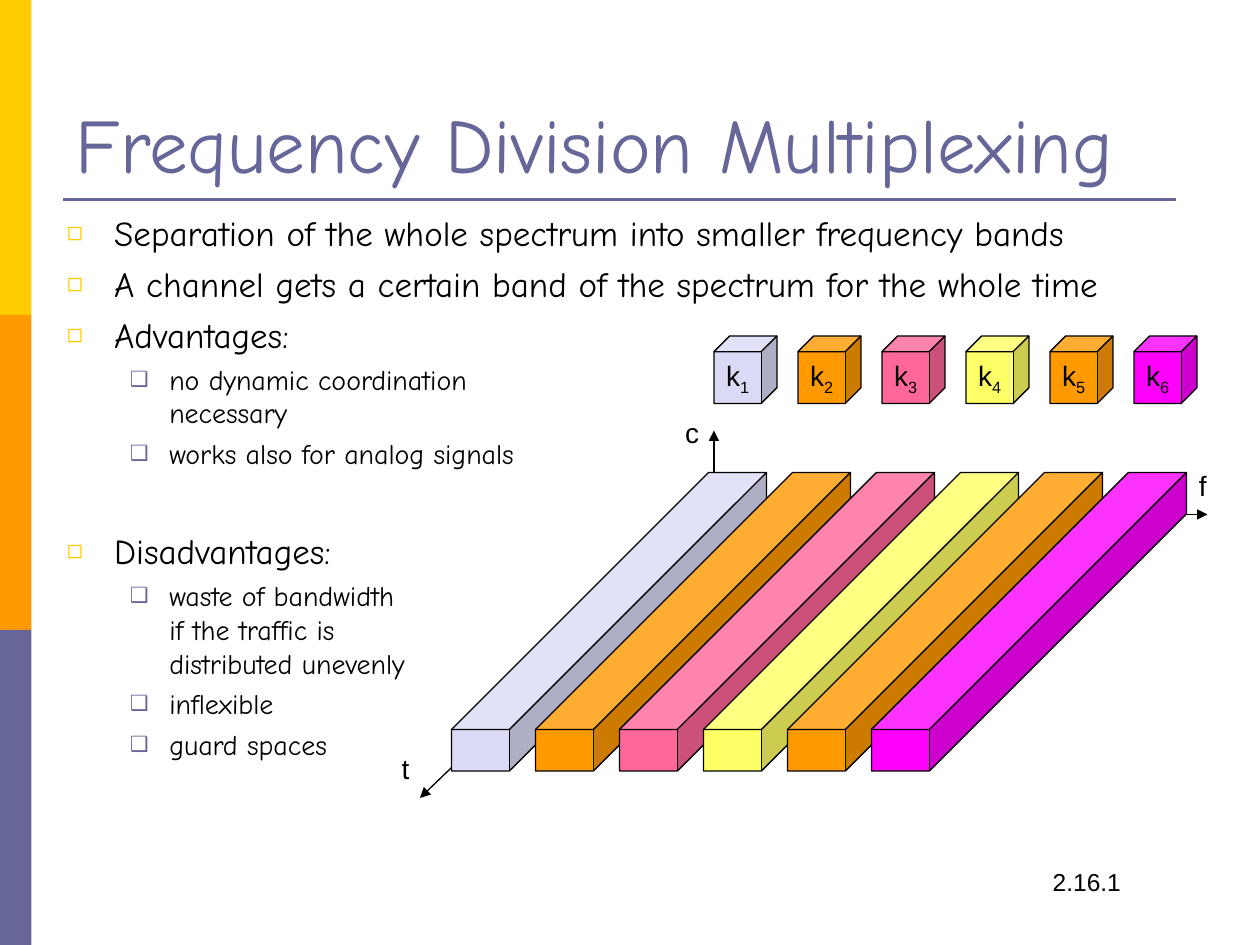
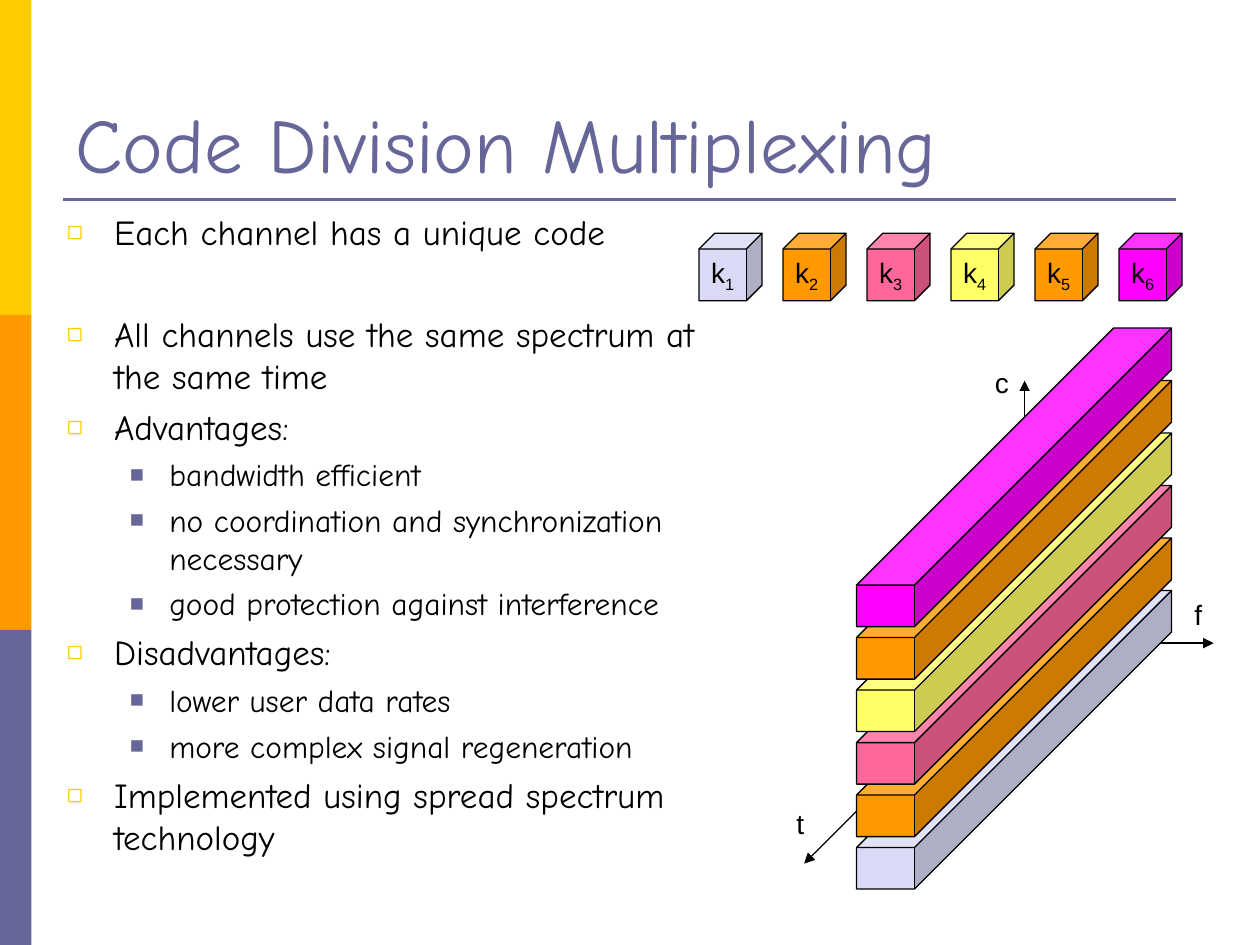
import pptx
import pptx.dml.color
import pptx.enum.shapes
import pptx.enum.text
import pptx.oxml.ns
import pptx.util
from lxml import etree

Pt = pptx.util.Pt
RGBColor = pptx.dml.color.RGBColor
Shapes = pptx.enum.shapes.MSO_SHAPE
Align = pptx.enum.text.PP_ALIGN
Anchor = pptx.enum.text.MSO_ANCHOR
qualified = pptx.oxml.ns.qn

BLACK = RGBColor(0x00, 0x00, 0x00)
GOLD = RGBColor(0xFF, 0xCC, 0x00)
ORANGE = RGBColor(0xFF, 0x99, 0x00)
SLATE = RGBColor(0x66, 0x66, 0x99)
LAVENDER = RGBColor(0xDA, 0xDA, 0xF6)
PINK = RGBColor(0xFF, 0x66, 0x99)
YELLOW = RGBColor(0xFF, 0xFF, 0x66)
MAGENTA = RGBColor(0xFF, 0x00, 0xFF)

CHANNEL_COLORS = [LAVENDER, ORANGE, PINK, YELLOW, ORANGE, MAGENTA]
TEXT_FONT = "Comic Neue"
LABEL_FONT = "Arial"
BAND_HEIGHT = 180
CHANNEL_STEP = 48
BLANK_LINE = 29.2


class Deck:
    def __init__(self):
        self.presentation = pptx.Presentation()
        self.presentation.slide_width = Pt(720)
        self.presentation.slide_height = Pt(540)
        self.slide = None

    def start_slide(self, title, title_width):
        layout = self.presentation.slide_layouts[1]
        self.slide = self.presentation.slides.add_slide(layout)
        for index, color in enumerate([GOLD, ORANGE, SLATE]):
            self.shape(Shapes.RECTANGLE, 0, index * BAND_HEIGHT, 18, BAND_HEIGHT, color)
        self.line((36, 114), (672, 114), SLATE, 1.5)
        frame = self.place(self.slide.shapes.title, 36, 21.6, title_width, 90)
        frame.vertical_anchor = Anchor.BOTTOM
        paragraph = frame.paragraphs[0]
        paragraph.alignment = Align.LEFT
        self.run(paragraph, title, 44, TEXT_FONT, SLATE)

    def place(self, shape, left, top, width, height):
        shape.left, shape.top = Pt(left), Pt(top)
        shape.width, shape.height = Pt(width), Pt(height)
        frame = shape.text_frame
        frame.word_wrap = True
        frame.auto_size = pptx.enum.text.MSO_AUTO_SIZE.NONE
        return frame

    def run(self, paragraph, text, size, font, color=BLACK):
        run = paragraph.add_run()
        run.text = text
        run.font.size = Pt(size)
        run.font.name = font
        run.font.color.rgb = color
        return run

    def bullet(self, paragraph, character, color, margin, indent):
        properties = paragraph._p.get_or_add_pPr()
        properties.set("marL", str(Pt(margin)))
        properties.set("indent", str(Pt(indent)))
        fill = etree.SubElement(properties, qualified("a:buClr"))
        etree.SubElement(fill, qualified("a:srgbClr"), val=str(color))
        etree.SubElement(properties, qualified("a:buSzPct"), val="75000")
        etree.SubElement(properties, qualified("a:buFont"), typeface=LABEL_FONT)
        etree.SubElement(properties, qualified("a:buChar"), char=character)

    def body(self, top, width, items, detail_bullet, detail_size):
        frame = self.place(self.slide.placeholders[1], 31, top, width, 402)
        for index, (level, text, gap) in enumerate(items):
            paragraph = frame.paragraphs[0] if index == 0 else frame.add_paragraph()
            paragraph.level = level
            if level == 0:
                size = 20
                self.bullet(paragraph, "◻", GOLD, 27, -27)
            else:
                size = detail_size
                self.bullet(paragraph, detail_bullet, SLATE, 58.5, -22.5)
            paragraph.space_before = Pt(size / 4 + gap if index else 0)
            for number, line in enumerate(text.split("\n")):
                if number:
                    paragraph.add_line_break()
                self.run(paragraph, line, size, TEXT_FONT)

    def shape(self, kind, left, top, width, height, color):
        shape = self.slide.shapes.add_shape(kind, Pt(left), Pt(top), Pt(width), Pt(height))
        shape.shadow.inherit = False
        shape.fill.solid()
        shape.fill.fore_color.rgb = color
        shape.line.fill.background()
        return shape

    def cube(self, left, top, width, height, depth, color):
        cube = self.shape(Shapes.CUBE, left, top, width, height, color)
        cube.adjustments[0] = depth
        cube.line.color.rgb = BLACK
        cube.line.width = Pt(0.75)
        return cube

    def line(self, start, end, color, width, arrow=False):
        points = [Pt(value) for value in (*start, *end)]
        line = self.slide.shapes.add_connector(
            pptx.enum.shapes.MSO_CONNECTOR.STRAIGHT, *points)
        line.line.color.rgb = color
        line.line.width = Pt(width)
        if arrow:
            etree.SubElement(line.line._ln, qualified("a:tailEnd"), type="triangle")
        etree.SubElement(line._element.spPr, qualified("a:effectLst"))

    def label(self, text, left, top, width, size=16):
        box = self.slide.shapes.add_textbox(Pt(left), Pt(top), Pt(width), Pt(26.5))
        box.text_frame.word_wrap = False
        self.run(box.text_frame.paragraphs[0], text, size, LABEL_FONT)

    def axes(self, origin, tips):
        for tip in tips:
            self.line(origin, tip, BLACK, 0.75, arrow=True)

    def axis_labels(self, frequency, time, code):
        self.label("f", *frequency, 19)
        self.label("t", *time, 19)
        self.label("c", *code, 22.5)

    def beams(self, left, top, step_x, step_y):
        for index, color in enumerate(CHANNEL_COLORS):
            self.cube(left + index * step_x, top + index * step_y, 180, 170.6, 0.861, color)

    def channel_key(self, left, top):
        for index, color in enumerate(CHANNEL_COLORS):
            cube = self.cube(left + index * CHANNEL_STEP, top, 36, 38.6, 0.25, color)
            frame = cube.text_frame
            frame.word_wrap = False
            frame.vertical_anchor = Anchor.MIDDLE
            paragraph = frame.paragraphs[0]
            paragraph.alignment = Align.CENTER
            self.run(paragraph, "k", 16, LABEL_FONT)
            subscript = self.run(paragraph, str(index + 1), 16, LABEL_FONT)
            subscript.font._element.set("baseline", "-25000")


def frequency_slide(deck):
    deck.start_slide("Frequency Division Multiplexing", 661)
    deck.body(117.4, 642, [
        (0, "Separation of the whole spectrum into smaller frequency bands", 0),
        (0, "A channel gets a certain band of the spectrum for the whole time", 0),
        (0, "Advantages:", 0),
        (1, "no dynamic coordination\nnecessary", 0),
        (1, "works also for analog signals", 0),
        (0, "Disadvantages:", BLANK_LINE),
        (1, "waste of bandwidth\nif the traffic is\ndistributed unevenly", 0),
        (1, "inflexible", 0),
        (1, "guard spaces", 0),
    ], "❑", 16)
    deck.axes((408, 294), [(240, 456), (408, 246), (690, 294)])
    deck.beams(258, 270, CHANNEL_STEP, 0)
    deck.channel_key(408, 192)
    deck.axis_labels((678, 264), (222.5, 426), (384.5, 234))
    deck.label("2.16.1", 594.5, 492, 66, 14)


def code_slide(deck):
    deck.start_slide("Code Division Multiplexing", 648)
    deck.body(116.8, 390, [
        (0, "Each channel has a unique code", 0),
        (0, "All channels use the same spectrum at the same time", BLANK_LINE),
        (0, "Advantages:", 0),
        (1, "bandwidth efficient", 0),
        (1, "no coordination and synchronization necessary", 0),
        (1, "good protection against interference", 0),
        (0, "Disadvantages:", 0),
        (1, "lower user data rates", 0),
        (1, "more complex signal regeneration", 0),
        (0, "Implemented using spread spectrum technology", 0),
    ], "■", 18)
    deck.axes((585.5, 367.5), [(459.5, 493.5), (585.5, 217.5), (693.5, 367.5)])
    deck.beams(489.5, 337.5, 0, -30)
    deck.channel_key(399.5, 133.3)
    deck.axis_labels((675.5, 338), (448, 457.5), (561.5, 205.5))


def main():
    deck = Deck()
    frequency_slide(deck)
    code_slide(deck)
    deck.presentation.save("out.pptx")


if __name__ == "__main__":
    main()
